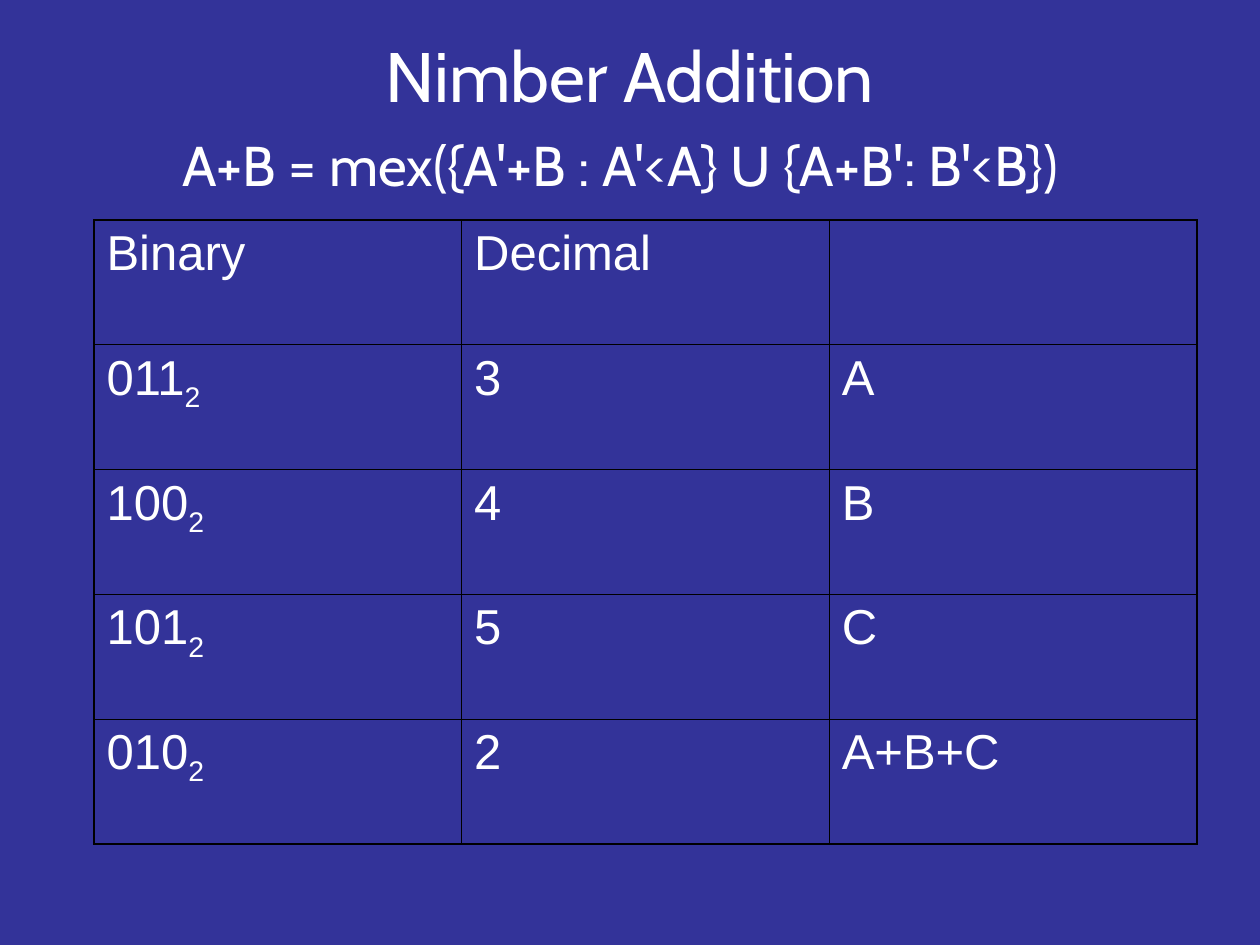
"""Build the Nimber Addition slide with its table of binary and decimal values."""
import pptx
import pptx.dml.color
import pptx.enum.text
import pptx.oxml
import pptx.oxml.ns
import pptx.util

TITLE = "Nimber Addition"
FORMULA = "A+B = mex({A'+B : A'<A} U {A+B': B'<B})"
HEADERS = ("Binary", "Decimal", "")
ROWS = (
    ("011", "3", "A"),
    ("100", "4", "B"),
    ("101", "5", "C"),
    ("010", "2", "A+B+C"),
)
BASE = "2"

SLIDE_SIZE = (1260, 945)
TITLE_BOX = (63, 38, 1134, 157)
TABLE_BOX = (94, 220, 1103, 624)
SCALE = 914400 / 126
INNER_LINE, OUTER_LINE = 0.45, 1.08

NAVY = pptx.dml.color.RGBColor(0x33, 0x33, 0x99)
WHITE = pptx.dml.color.RGBColor(0xFF, 0xFF, 0xFF)
BLACK = pptx.dml.color.RGBColor(0x00, 0x00, 0x00)


def emu(*lengths):
    return [pptx.util.Emu(round(length * SCALE)) for length in lengths]


def style(font, name, size, color=WHITE):
    font.name = name
    font.size = pptx.util.Pt(size)
    font.color.rgb = color


def add_title(slide):
    title = slide.shapes.title
    title.left, title.top, title.width, title.height = emu(*TITLE_BOX)
    frame = title.text_frame
    frame.word_wrap = True
    frame.auto_size = pptx.enum.text.MSO_AUTO_SIZE.NONE
    frame.vertical_anchor = pptx.enum.text.MSO_ANCHOR.MIDDLE
    frame.text = f"{TITLE}\v{FORMULA}"
    para = frame.paragraphs[0]
    para.alignment = pptx.enum.text.PP_ALIGN.CENTER
    para.add_run().text = " "
    fonts = (("Cabin", 40), ("Cabin", 32), ("Arial", 40))
    for span, (name, size) in zip(para.runs, fonts):
        style(span.font, name, size)


def set_borders(cell, widths):
    properties = cell._tc.get_or_add_tcPr()
    for index, (side, width) in enumerate(zip("LRTB", widths)):
        line = pptx.oxml.parse_xml(
            f'<a:ln{side} {pptx.oxml.ns.nsdecls("a")} w="{pptx.util.Pt(width)}">'
            f'<a:solidFill><a:srgbClr val="{BLACK}"/></a:solidFill></a:ln{side}>'
        )
        properties.insert(index, line)


def add_table(slide):
    cells = (HEADERS, *ROWS)
    last_row, last_column = len(cells) - 1, len(HEADERS) - 1
    table = slide.shapes.add_table(len(cells), len(HEADERS), *emu(*TABLE_BOX)).table
    table.first_row = table.horz_banding = False
    for row, texts in enumerate(cells):
        for column, text in enumerate(texts):
            cell = table.cell(row, column)
            cell.fill.background()
            edges = (column == 0, column == last_column, row == 0, row == last_row)
            set_borders(cell, [OUTER_LINE if edge else INNER_LINE for edge in edges])
            cell.text_frame.text = text
            para = cell.text_frame.paragraphs[0]
            if row > 0 and column == 0:
                subscript = para.add_run()
                subscript.text = BASE
                subscript.font._element.set("baseline", "-25000")
            for span in para.runs:
                style(span.font, "Arial", 28)


def main():
    deck = pptx.Presentation()
    deck.slide_width, deck.slide_height = emu(*SLIDE_SIZE)
    slide = deck.slides.add_slide(deck.slide_layouts.get_by_name("Title Only"))
    slide.background.fill.solid()
    slide.background.fill.fore_color.rgb = NAVY
    add_title(slide)
    add_table(slide)
    deck.save("out.pptx")


if __name__ == "__main__":
    main()
